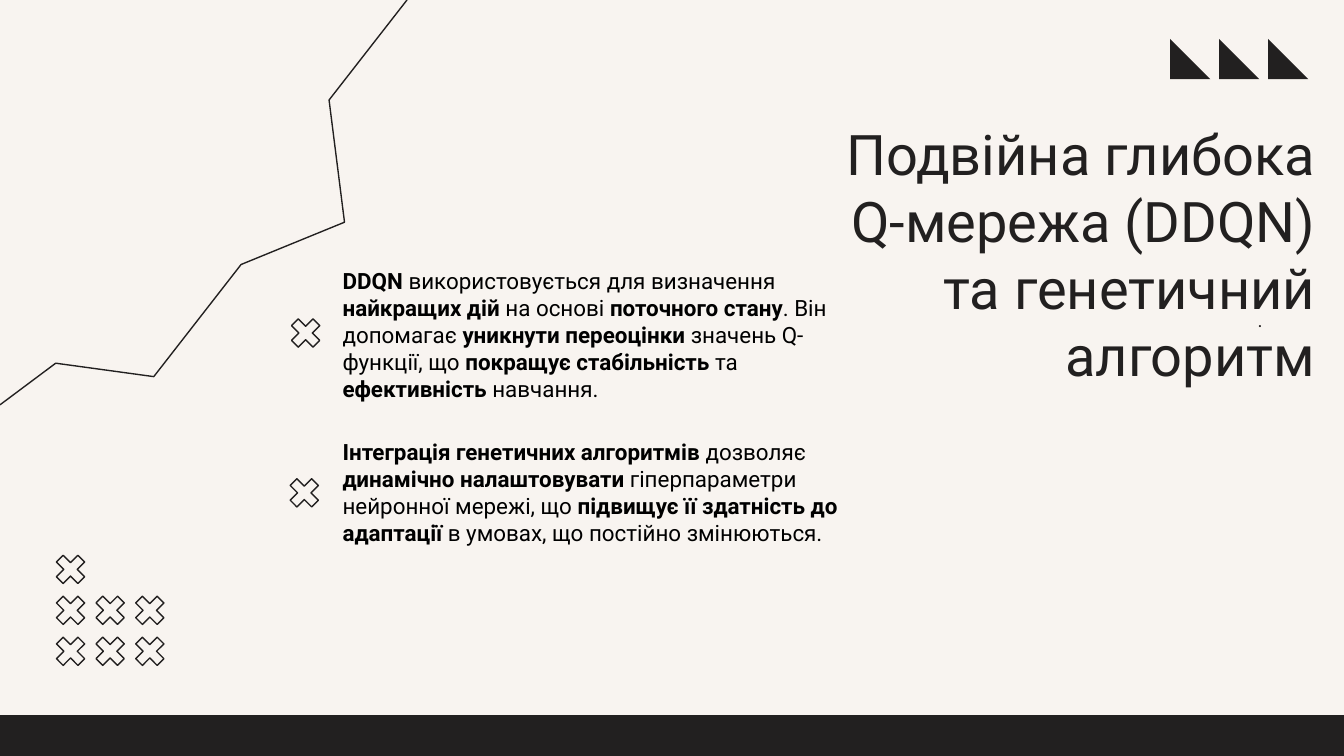
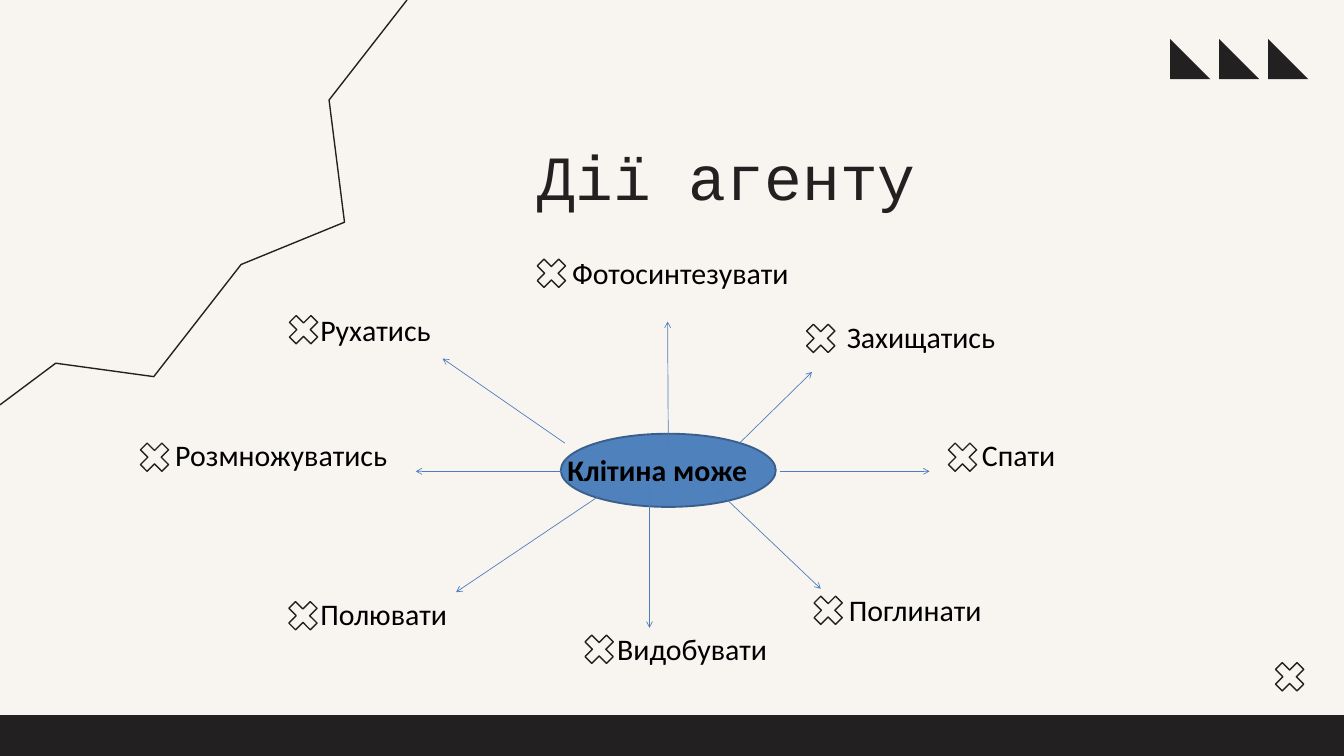
from lxml import etree
from pptx import Presentation
from pptx.dml.color import RGBColor
from pptx.enum.shapes import MSO_CONNECTOR, MSO_SHAPE
from pptx.enum.text import MSO_ANCHOR, MSO_AUTO_SIZE, PP_ALIGN
from pptx.oxml.ns import qn
from pptx.util import Inches, Pt

INK = RGBColor(0x22, 0x20, 0x20)
PAPER = RGBColor(0xF8, 0xF4, 0xF0)
BLACK = RGBColor(0, 0, 0)
CELL_BLUE = RGBColor(0x4F, 0x81, 0xBD)
CELL_EDGE = RGBColor(0x3A, 0x5F, 0x8C)
ARROW_BLUE = RGBColor(0x4B, 0x7E, 0xBC)

LEFT, RIGHT = PP_ALIGN.LEFT, PP_ALIGN.RIGHT
TOP, NO_AUTOFIT = MSO_ANCHOR.TOP, MSO_AUTO_SIZE.NONE
RECTANGLE, OVAL = MSO_SHAPE.RECTANGLE, MSO_SHAPE.OVAL
RIGHT_TRIANGLE = MSO_SHAPE.RIGHT_TRIANGLE
STRAIGHT = MSO_CONNECTOR.STRAIGHT

GRID_UNIT = Inches(1)
COLUMNS, ROWS = 20.01, 11.26
TWO_CONTENT, TITLE_ONLY = 3, 5
OUTLINE = 1.47
TEXT_INSETS = (0.1, 0.05)

CRACK = [(6.06, 0), (4.9, 1.49), (5.13, 3.31), (3.59, 3.94),
         (2.29, 5.61), (0.83, 5.41), (0, 6.03)]
CROSS = [(0, 0.1), (0.1, 0), (0.21, 0.11), (0.32, 0), (0.42, 0.1), (0.31, 0.21),
         (0.42, 0.32), (0.32, 0.42), (0.21, 0.31), (0.1, 0.42), (0, 0.32), (0.11, 0.21)]
CROSS_ROWS = (1, 3, 3)

DDQN = ("**DDQN **використовується для визначення **найкращих дій** на основі "
        "**поточного стану**. Він допомагає **уникнути переоцінки **значень Q-функції, "
        "що **покращує стабільність **та **ефективність **навчання.")
GENETIC = ("**Інтеграція генетичних алгоритмів **дозволяє **динамічно налаштовувати "
           "**гіперпараметри нейронної мережі, що **підвищує її здатність до адаптації** "
           "в умовах, що постійно змінюються.")

ACTIONS = [
    ("Фотосинтезувати", (8.42, 3.75, 3.8), (8, 3.86), (9.95, 6.68, 9.94, 4.79)),
    ("Захищатись", (12.51, 4.7, 2.73), (12.01, 4.83), (11.01, 6.6, 12.09, 5.54)),
    ("Спати", (14.52, 6.46, 1.47), (14.12, 6.6), (11.61, 7.02, 13.84, 7.02)),
    ("Поглинати", (12.54, 8.77, 2.4), (12.12, 8.88), (10.59, 7.22, 12.22, 8.77)),
    ("Видобувати", (9.09, 9.35, 2.69), (8.71, 9.46), (9.67, 7.13, 9.67, 9.35)),
    ("Полювати", (4.67, 8.82, 2.31), (4.3, 8.96), (8.93, 7.38, 6.79, 8.82)),
    ("Розмножуватись", (2.51, 6.46, 3.69), (2.09, 6.6), (8.42, 7.02, 6.19, 7.02)),
    ("Рухатись", (4.67, 4.6, 2.11), (4.31, 4.7), (8.41, 6.6, 6.59, 5.34)),
]


def grid(*lengths):
    """Convert columns or rows of the grid to slide lengths."""
    return [round(length * GRID_UNIT) for length in lengths]


def write(holder, text, *, size, font, color=BLACK, bold=False, align=LEFT,
          insets=TEXT_INSETS):
    """Fill a text holder with one paragraph, where ** switches bold."""
    frame = holder.text_frame
    frame.word_wrap = True
    frame.auto_size = NO_AUTOFIT
    frame.vertical_anchor = TOP
    frame.margin_left = frame.margin_right = grid(insets[0])[0]
    frame.margin_top = frame.margin_bottom = grid(insets[1])[0]
    paragraph = frame.paragraphs[0]
    properties = paragraph._p.get_or_add_pPr()
    properties.set("marL", "0")
    properties.set("indent", "0")
    etree.SubElement(properties, qn("a:buNone"))
    paragraph.alignment = align
    for position, part in enumerate(text.split("**")):
        if part:
            run = paragraph.add_run()
            run.text = part
            run.font.size = Pt(size)
            run.font.name = font
            run.font.bold = bold or position % 2 == 1
            run.font.color.rgb = color


def place(holder, *bounds):
    """Move a placeholder to its bounds on the grid."""
    holder.left, holder.top, holder.width, holder.height = grid(*bounds)
    return holder


def add_label(slide, text, bounds, **style):
    """Add a text box with one formatted paragraph."""
    write(slide.shapes.add_textbox(*grid(*bounds)), text, **style)


def add_solid(slide, preset, bounds, fill=INK, edge=None):
    """Add a filled preset shape, with an edge if one is given."""
    solid = slide.shapes.add_shape(preset, *grid(*bounds))
    solid.shadow.inherit = False
    solid.fill.solid()
    solid.fill.fore_color.rgb = fill
    if edge is None:
        solid.line.fill.background()
    else:
        solid.line.color.rgb = edge
        solid.line.width = Pt(2)


def add_outline(slide, points, close=False):
    """Draw an unfilled ink outline through the points."""
    corners = [grid(*point) for point in points]
    builder = slide.shapes.build_freeform(*corners[0])
    builder.add_line_segments(corners[1:], close=close)
    outline = builder.convert_to_shape()
    outline.shadow.inherit = False
    outline.fill.background()
    outline.line.color.rgb = INK
    outline.line.width = Pt(OUTLINE)


def add_cross(slide, left, top):
    """Draw the cross marker with its corner at left and top."""
    add_outline(slide, [(left + x, top + y) for x, y in CROSS], close=True)


def add_arrow(slide, ends):
    """Draw a thin arrow between two points."""
    arrow = slide.shapes.add_connector(STRAIGHT, *grid(*ends))
    arrow.line.color.rgb = ARROW_BLUE
    arrow.line.width = Pt(0.75)
    properties = arrow._element.spPr
    etree.SubElement(properties.get_or_add_ln(), qn("a:tailEnd"), type="arrow")
    etree.SubElement(properties, qn("a:effectLst"))


def add_slide(deck, layout, title, bounds, **style):
    """Add a slide with the shared decoration and a title."""
    slide = deck.slides.add_slide(deck.slide_layouts[layout])
    add_outline(slide, CRACK)
    add_solid(slide, RECTANGLE, (0, 10.65, COLUMNS, ROWS - 10.65))
    for step in range(3):
        add_solid(slide, RIGHT_TRIANGLE, (17.42 + 0.73 * step, 0.58, 0.6, 0.6))
    write(place(slide.shapes.title, *bounds), title, color=INK, insets=(0, 0), **style)
    return slide


def add_network_slide(deck):
    """Build the slide on DDQN and the genetic algorithm."""
    slide = add_slide(deck, TWO_CONTENT,
                      "Подвійна глибока Q-мережа (DDQN) та генетичний алгоритм",
                      (12.04, 1.78, 7.54, 4.85), size=60, font="Roboto", align=RIGHT)
    add_label(slide, ".", (10.8, 4.58, 8, 0.34), size=20.5, font="Roboto",
              color=INK, align=RIGHT, insets=(0, 0.01))
    for row, count in enumerate(CROSS_ROWS):
        for column in range(count):
            add_cross(slide, 0.84 + 0.59 * column, 8.27 + 0.61 * row)
    passages = [(1, DDQN, 3.93, 2.12, (4.34, 4.75)),
                (2, GENETIC, 6.48, 1.72, (4.32, 7.13))]
    for index, passage, top, height, marker in passages:
        body = place(slide.placeholders[index], 5, top, 7.92, height)
        write(body, passage, size=24, font="Roboto")
        add_cross(slide, *marker)


def add_actions_slide(deck):
    """Build the slide on the actions of the agent."""
    slide = add_slide(deck, TITLE_ONLY, "Дії агенту", (8.01, 2.05, 8.34, 1.15),
                      size=67.5, font="Courier New")
    add_solid(slide, OVAL, (8.35, 6.46, 3.2, 1.09), fill=CELL_BLUE, edge=CELL_EDGE)
    add_label(slide, "Клітина може", (8.35, 6.68, 3.2, 0.64),
              size=32, font="Calibri", bold=True)
    for action, bounds, marker, ends in ACTIONS:
        add_label(slide, action, (*bounds, 0.64), size=32, font="Calibri")
        add_cross(slide, *marker)
        add_arrow(slide, ends)
    add_cross(slide, 18.99, 9.87)


def main():
    """Build and save the presentation."""
    deck = Presentation()
    deck.slide_width, deck.slide_height = grid(COLUMNS, ROWS)
    backdrop = deck.slide_master.background.fill
    backdrop.solid()
    backdrop.fore_color.rgb = PAPER
    add_network_slide(deck)
    add_actions_slide(deck)
    deck.save("out.pptx")


if __name__ == "__main__":
    main()
